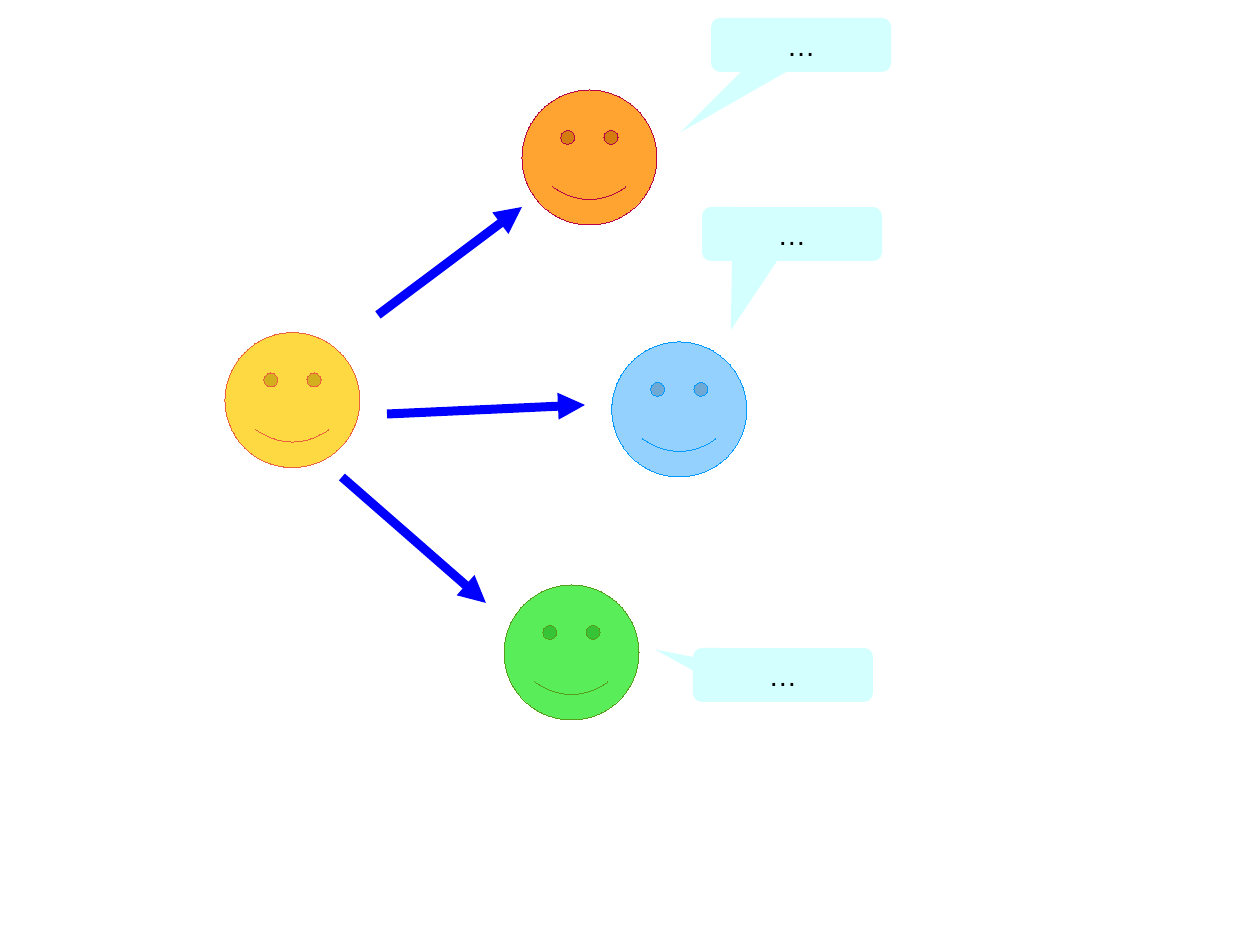
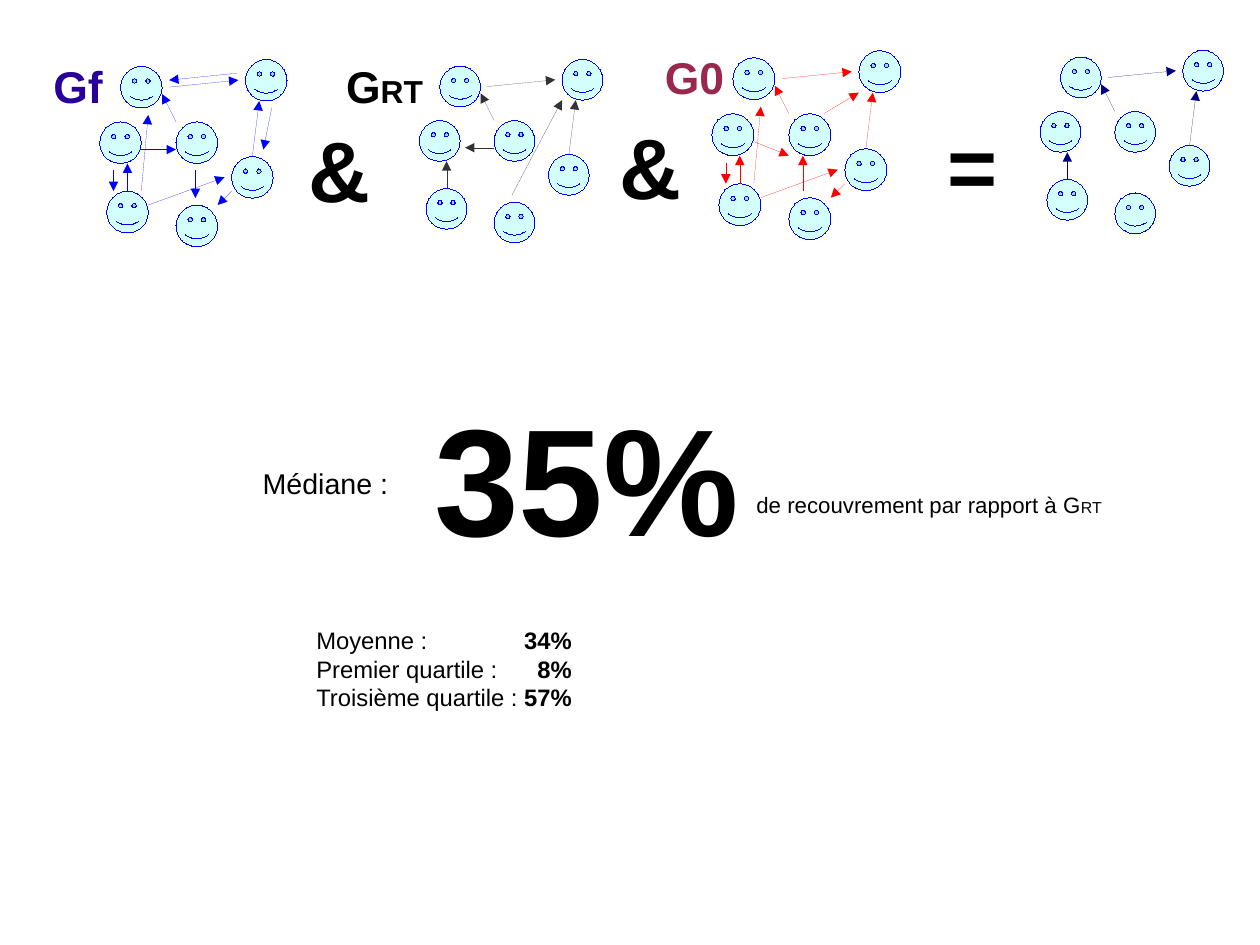
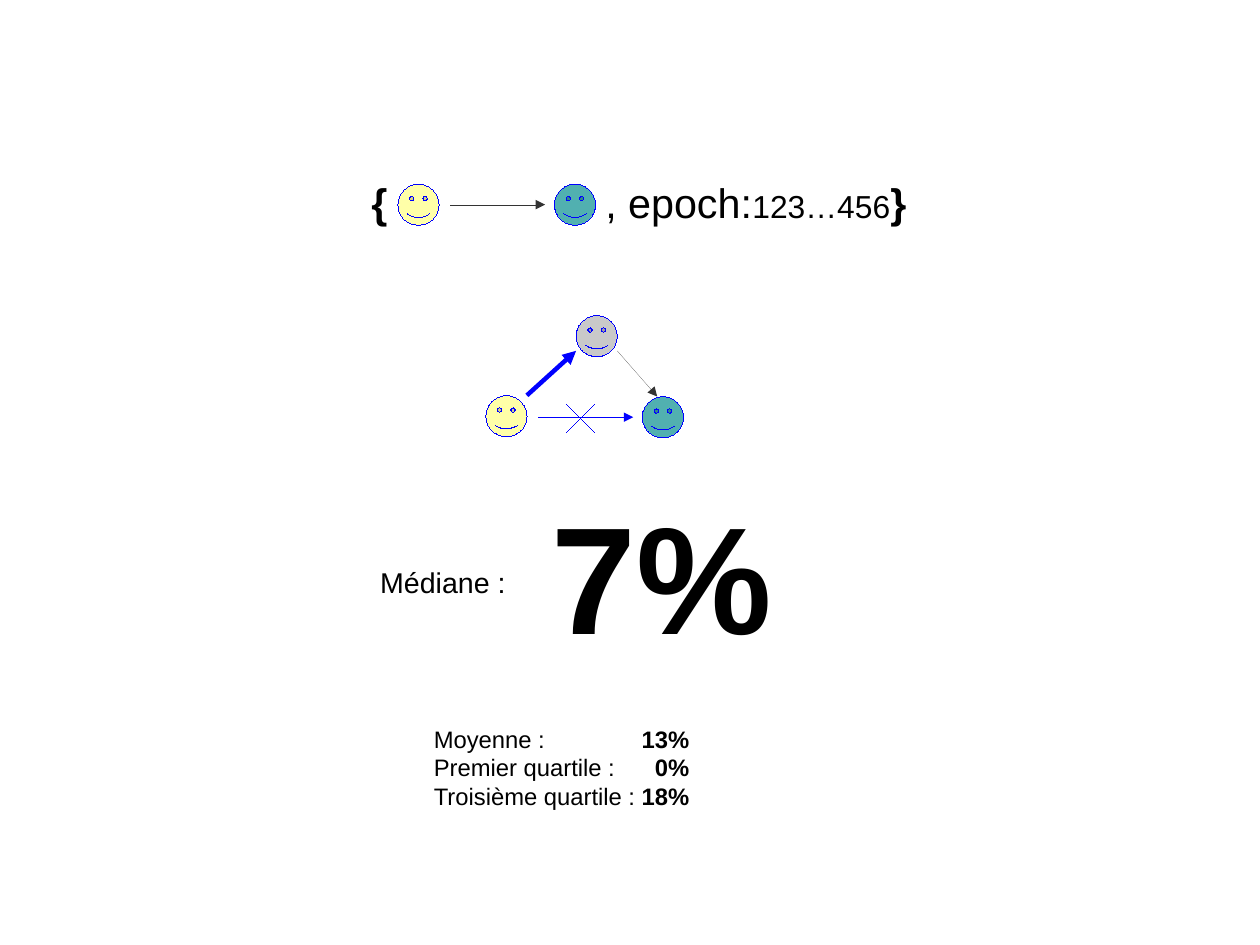
import pptx
import pptx.util
import pptx.dml.color
import pptx.enum.shapes
import pptx.enum.text
import pptx.oxml
import pptx.oxml.ns

Pt = pptx.util.Pt
KIND = pptx.enum.shapes.MSO_SHAPE
ALIGN = pptx.enum.text.PP_ALIGN
FONT = "Arial"
BLACK, BLUE, GREY, NAVY, RED = "000000", "0000FF", "333333", "000080", "FF0000"
PALE, CREAM, TEAL, SILVER = "CCFFFF", "FFFF99", "33A3A3", "C0C0C0"
SMALL = 26

# Slide 1: x, y, fill, line
CROWD = [
    (141.7, 209.5, "FFD320", "EB613D"),
    (328.8, 56.7, "FF950E", "B80047"),
    (385.4, 215.4, "83CAFF", "0099FF"),
    (317.5, 368.5, "3DEB3D", "579D1C"),
]
# x, y, pointer as shares of the bubble's width and height
BUBBLES = [
    (447.9, 11.3, -0.67, 1.62),
    (442.2, 130.4, -0.34, 1.78),
    (436.5, 408.2, -0.71, -0.47),
]
SENDS = [
    (238.1, 198.4, 328.8, 130.4),
    (243.8, 260.8, 368.5, 255.1),
    (215.4, 300.5, 306.1, 379.8),
]

# Slide 2: nodes and edges in grid units, a face being 6 units wide
NODES = [(0, 9), (11, 21), (11, 9), (1, 19), (19, 14), (3, 1), (21, 0)]
COMMON = [(11, 9, 9, 5), (22, 14, 23, 6), (10, 4, 20, 3), (4, 19, 4, 15)]
PAIR = [(19, 19, 17, 21), (2, 16, 2, 19), (6, 19, 7, 8), (7, 21, 18, 17)]
# x, y, unit, colour, edges beyond the common ones
GRAPHS = [
    (264.2, 37.4, 4.28, GREY, [(11, 13, 6.7, 13), (13.6, 20, 21, 6)]),
    (655.2, 31.7, 4.28, NAVY, []),
    (62.8, 37.4, 4.37, BLUE, PAIR + [
        (13.8, 16, 13.8, 20), (6, 13, 11, 13),
        (24.8, 7, 23.6, 13), (19.7, 2, 10, 3)]),
    (448.4, 31.9, 4.41, RED, PAIR + [
        (13, 20, 13, 15), (6, 13, 11, 15), (16, 9, 21, 6)]),
]
# x, y, width, height, colour, runs of (text, size, bold)
LABELS = [
    (211, 33.8, 67, 42.5, BLACK, [("G", 28, True), ("RT", 20, True)]),
    (26.6, 33.8, 46.8, 40.3, "280099", [("Gf", 28, True)]),
    (411.8, 28.1, 51.8, 38.2, "99284C", [("G0", 28, True)]),
    (187.2, 69.8, 53.4, 67.7, BLACK, [("&", 54, True)]),
    (383, 68.4, 53.4, 67.7, BLACK, [("&", 54, True)]),
    (589.7, 67.7, 46, 67.7, BLACK, [("=", 54, True)]),
    (469.4, 306, 232.6, 23, BLACK,
     [("de recouvrement par rapport à G", 14, False), ("RT", 10, False)]),
]
STATS = ["Moyenne :", "Premier quartile :", "Troisième quartile :"]

# Slide 3
EPOCH = [("{", 26, True), ("\t, epoch:", 26, False),
         ("123…456", 20, False), ("}", 26, True)]
TRIO = [
    (250.6, 115.9, CREAM), (349.2, 115.9, TEAL), (306, 249.1, CREAM),
    (404.6, 249.8, TEAL), (362.9, 198.7, SILVER),
]
# x1, y1, x2, y2, colour, width, arrowhead
LINKS = [
    (283.7, 128.9, 343.4, 128.9, GREY, 0, True),
    (331.9, 249.1, 362.9, 221, BLUE, 2.83, True),
    (388.8, 221, 414, 249.8, GREY, 0, True),
    (339.1, 262.8, 398.9, 262.8, BLUE, 0, True),
    (374.4, 254.9, 357.1, 272.2, BLUE, 0, False),
    (374.4, 272.2, 357.1, 254.9, BLUE, 0, False),
]


def tint(code):
    return pptx.dml.color.RGBColor.from_string(code)


def assign(thing, vals):
    for key, val in vals.items():
        setattr(thing, key, val)


def child(node, tag, **vals):
    part = pptx.oxml.parse_xml(f"<a:{tag} {pptx.oxml.ns.nsdecls('a')}/>")
    for key, val in vals.items():
        part.set(key, str(val))
    node.append(part)
    return part


def stroke(item, hue, width=0):
    """Colour a line; a zero width is written out, as a hairline needs."""
    item.line.color.rgb = tint(hue)
    edge = item._element.spPr.find(pptx.oxml.ns.qn("a:ln"))
    edge.set("w", str(Pt(width)))
    return edge


def shape(slide, kind, x, y, w, h, fill, line=None):
    """Add a preset shape at 85% opacity, with a hairline if line is given."""
    item = slide.shapes.add_shape(kind, Pt(x), Pt(y), Pt(w), Pt(h))
    item.shadow.inherit = False
    item.fill.solid()
    item.fill.fore_color.rgb = tint(fill)
    hue = item._element.spPr.find(".//" + pptx.oxml.ns.qn("a:srgbClr"))
    child(hue, "alpha", val=85000)
    if line:
        stroke(item, line)
    else:
        item.line.fill.background()
    return item


def face(slide, x, y, size, fill, line=BLUE):
    shape(slide, KIND.SMILEY_FACE, x, y, size, size, fill, line)


def link(slide, ends, hue, width=0, head=True):
    item = slide.shapes.add_connector(
        pptx.enum.shapes.MSO_CONNECTOR.STRAIGHT, *map(Pt, ends))
    edge = stroke(item, hue, width)
    if head:
        child(edge, "tailEnd", type="triangle")
    child(item._element.spPr, "effectLst")


def write(para, runs, hue=BLACK):
    for words, size, bold in runs:
        run = para.add_run()
        run.text = words
        assign(run.font, {"name": FONT, "size": Pt(size), "bold": bold})
        run.font.color.rgb = tint(hue)


def text(slide, x, y, w, h, hue, rows, stop=None, side="l"):
    """Add a text box; stop is a tab position, and such a box wraps."""
    box = slide.shapes.add_textbox(Pt(x), Pt(y), Pt(w), Pt(h))
    frame = box.text_frame
    assign(frame, {
        "word_wrap": stop is not None,
        "auto_size": pptx.enum.text.MSO_AUTO_SIZE.SHAPE_TO_FIT_TEXT})
    for num, runs in enumerate(rows):
        para = frame.add_paragraph() if num else frame.paragraphs[0]
        if stop:
            tabs = child(para._p.get_or_add_pPr(), "tabLst")
            child(tabs, "tab", pos=Pt(stop), algn=side)
        write(para, runs, hue)


def summary(slide, x, y, median, vals, wide):
    """Write the median, with its label at x, y, and the figures below."""
    text(slide, x, y, 93.6, 27.4, BLACK, [[("Médiane :", 18, False)]])
    text(slide, x + 108, y - 51.9, wide, 114.5, BLACK, [[(median, 96, True)]])
    rows = [[(name + "\t", 15, False), (val, 15, True)]
            for name, val in zip(STATS, vals)]
    text(slide, x + 33.8, y + 100.8, 180, 56.9, BLACK, rows, 161, "r")


def meet(slide):
    for x, y, fill, line in CROWD:
        face(slide, x, y, 85, fill, line)
    for x, y, dx, dy in BUBBLES:
        item = shape(slide, KIND.ROUNDED_RECTANGULAR_CALLOUT,
                     x, y, 113.4, 34, PALE)
        item.adjustments[0], item.adjustments[1] = dx, dy
        frame = item.text_frame
        assign(frame, {"word_wrap": False,
                       "vertical_anchor": pptx.enum.text.MSO_ANCHOR.MIDDLE})
        frame.paragraphs[0].alignment = ALIGN.CENTER
        write(frame.paragraphs[0], [("…", 18, False)])
    for ends in SENDS:
        link(slide, ends, BLUE, 5.67)


def overlap(slide):
    for x, y, unit, hue, more in GRAPHS:
        for col, row in NODES:
            face(slide, x + col * unit, y + row * unit, 6 * unit, PALE)
        for a, b, c, d in COMMON + more:
            link(slide, (x + a * unit, y + b * unit,
                         x + c * unit, y + d * unit), hue)
    for *area, hue, runs in LABELS:
        text(slide, *area, hue, [runs])
    summary(slide, 158.4, 290, "35%", ["34%", "8%", "57%"], 206.6)


def relay(slide):
    text(slide, 226.8, 108, 360.7, 39.6, BLACK, [EPOCH], 147.4)
    for x, y, fill in TRIO:
        face(slide, x, y, SMALL, fill)
    for *ends, hue, width, head in LINKS:
        link(slide, ends, hue, width, head)
    summary(slide, 232.4, 352, "7%", ["13%", "0%", "18%"], 153.2)


def main():
    deck = pptx.Presentation()
    assign(deck, {"slide_width": Pt(793.7), "slide_height": Pt(595.28)})
    for build in (meet, overlap, relay):
        build(deck.slides.add_slide(deck.slide_layouts[6]))
    deck.save("out.pptx")


if __name__ == "__main__":
    main()
